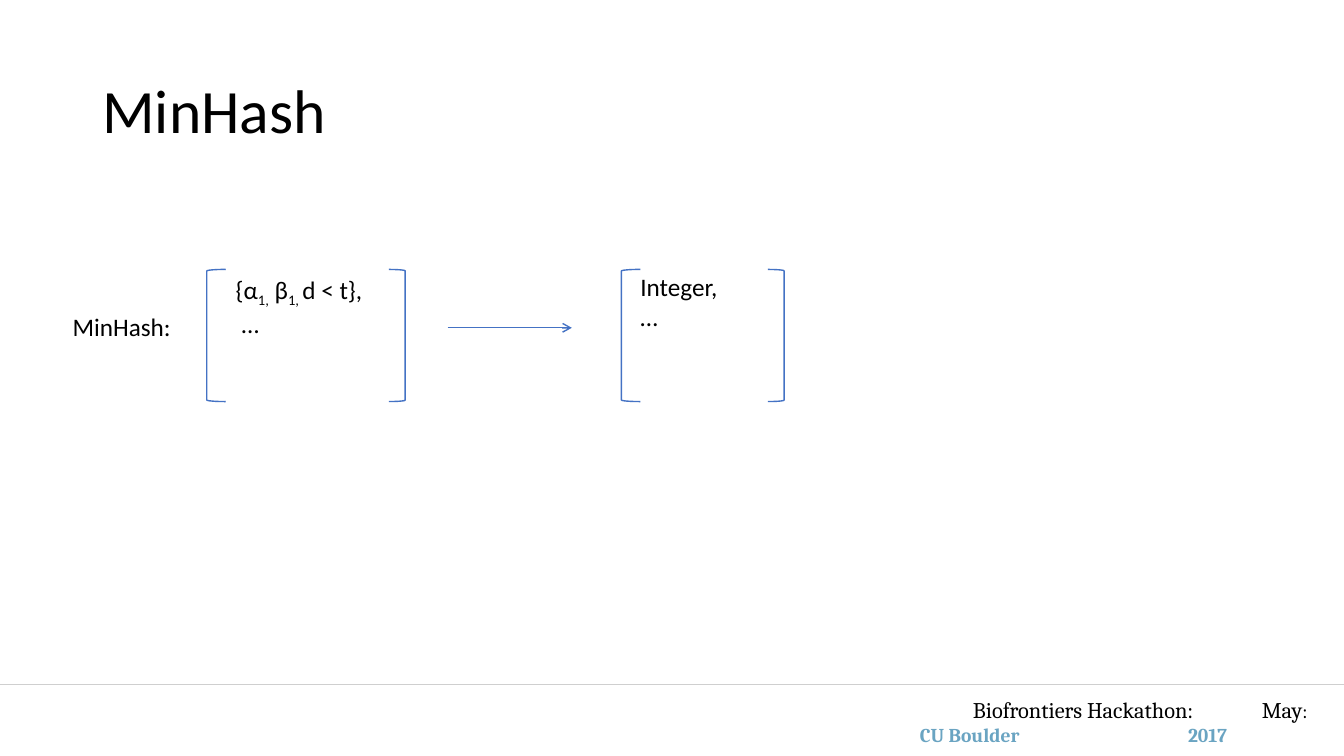
import pptx
import pptx.util
import pptx.dml.color
import pptx.enum.shapes
import pptx.enum.text
import pptx.oxml
import pptx.oxml.ns

Cm, Pt = pptx.util.Cm, pptx.util.Pt
SHAPE = pptx.enum.shapes.MSO_SHAPE
ANCHOR = pptx.enum.text.MSO_ANCHOR
COLORS = {"text": "000000", "accent": "4472C4", "place": "6AA4C2"}
BODY = {"name": "Calibri", "size": Pt(18)}
TITLE = {"name": "Calibri", "size": Pt(44)}
EVENT = {"name": "Cambria", "size": Pt(16)}
COLON = {"name": "Cambria", "size": Pt(14)}
PLACE = {"name": "Cambria", "size": Pt(14), "bold": True}


def rgb(key):
    return pptx.dml.color.RGBColor.from_string(COLORS[key])


def add_element(parent, tag, **attrs):
    child = pptx.oxml.parse_xml(f"<a:{tag} {pptx.oxml.ns.nsdecls('a')}/>")
    for name, value in attrs.items():
        child.set(name, str(value))
    parent.append(child)
    return child


def add_run(p, text, style, color="text", baseline=0):
    r = p.add_run()
    r.text = text
    for name, value in style.items():
        setattr(r.font, name, value)
    r.font.color.rgb = rgb(color)
    if baseline:
        r.font._element.set("baseline", str(baseline))


def add_text_frame(s, box, anchor=ANCHOR.TOP):
    tf = s.shapes.add_textbox(*map(Cm, box)).text_frame
    tf.word_wrap = True
    tf.vertical_anchor = anchor
    return tf


def add_line(s, start, end, color, width):
    line = s.shapes.add_connector(
        pptx.enum.shapes.MSO_CONNECTOR.STRAIGHT, *map(Cm, start + end))
    line.line.color.rgb = rgb(color)
    line.line.width = Pt(width)
    add_element(line._element.spPr, "effectLst")
    return line


def add_title(s, box):
    p = add_text_frame(s, box, ANCHOR.MIDDLE).paragraphs[0]
    p.line_spacing = 0.9
    add_run(p, "MinHash", TITLE)


def add_vector(s, box, text_left, text_top, entry):
    """Bracket pair filling the box, with an entry and an ellipsis inside."""
    left, top, width, height = box
    tf = add_text_frame(s, (left + text_left, top + text_top, 4.1, 1.8))
    for text, baseline in entry:
        add_run(tf.paragraphs[0], text, BODY, baseline=baseline)
    add_run(tf.add_paragraph(), "…", BODY)
    left_width, right_width = 0.48, 0.41
    for kind, x, w in ((SHAPE.LEFT_BRACKET, left, left_width),
                       (SHAPE.RIGHT_BRACKET, left + width - right_width, right_width)):
        bracket = s.shapes.add_shape(kind, Cm(x), Cm(top), Cm(w), Cm(height))
        bracket.shadow.inherit = False
        bracket.fill.background()
        bracket.line.color.rgb = rgb("accent")
        bracket.line.width = Pt(1)
    return tf


def add_mapping(s, box):
    left, top, width, height = box
    # Label
    label = add_text_frame(s, (left, top + 0.94, 3.2, 1.02))
    add_run(label.paragraphs[0], "MinHash:", BODY)
    # Input vector
    pairs = add_vector(s, (left + 3.63, top, 5, height), 0.48, 0,
                       [("{α", 0), ("1,", -25000), (" β", 0),
                        ("1, ", -25000), ("d < t},", 0)])
    pairs.paragraphs[1]._p.get_or_add_pPr().set("marL", str(Cm(0.15)))
    # Arrow
    y = top + 1.47
    arrow = add_line(s, (left + 9.7, y), (left + 12.83, y), "accent", 1)
    add_element(arrow.line._get_or_add_ln(), "tailEnd", type="arrow")
    # Output vector
    output_width = 4.1
    add_vector(s, (left + width - output_width, top, output_width, height),
               0.23, -0.08, [("Integer,", 0)])


def add_footer(s, box):
    left, top, width, height = box
    # Two lines, each with its own pair of tab stops
    tf = add_text_frame(s, (left, top + 0.3, width, height), ANCHOR.MIDDLE)
    tf.margin_left = tf.margin_right = 0
    event, place = tf.paragraphs[0], tf.add_paragraph()
    for p, stops in ((event, (24.52, 31.8)), (place, (23.18, 29.94))):
        tabs = add_element(p._p.get_or_add_pPr(), "tabLst")
        for stop in stops:
            add_element(tabs, "tab", pos=int(Cm(stop)), algn="l")
    add_run(event, "\tBiofrontiers Hackathon:\tMay", EVENT)
    add_run(event, ":", COLON)
    add_run(place, "\tCU Boulder\t2017", PLACE, "place")
    # Faint divider
    divider = add_line(s, (left, top), (left + width, top), "text", 0.5)
    color = divider.line._get_or_add_ln().find(".//" + pptx.oxml.ns.qn("a:srgbClr"))
    add_element(color, "alpha", val=18000)


prs = pptx.Presentation()
prs.slide_width, prs.slide_height = Cm(33.87), Cm(19.05)
s = prs.slides.add_slide(prs.slide_layouts[6])
add_title(s, (2.33, 1.01, 29.21, 3.68))
add_mapping(s, (1.58, 6.79, 18.18, 3.33))
add_footer(s, (0, 17.25, 33.87, 1.27))
prs.save("out.pptx")
